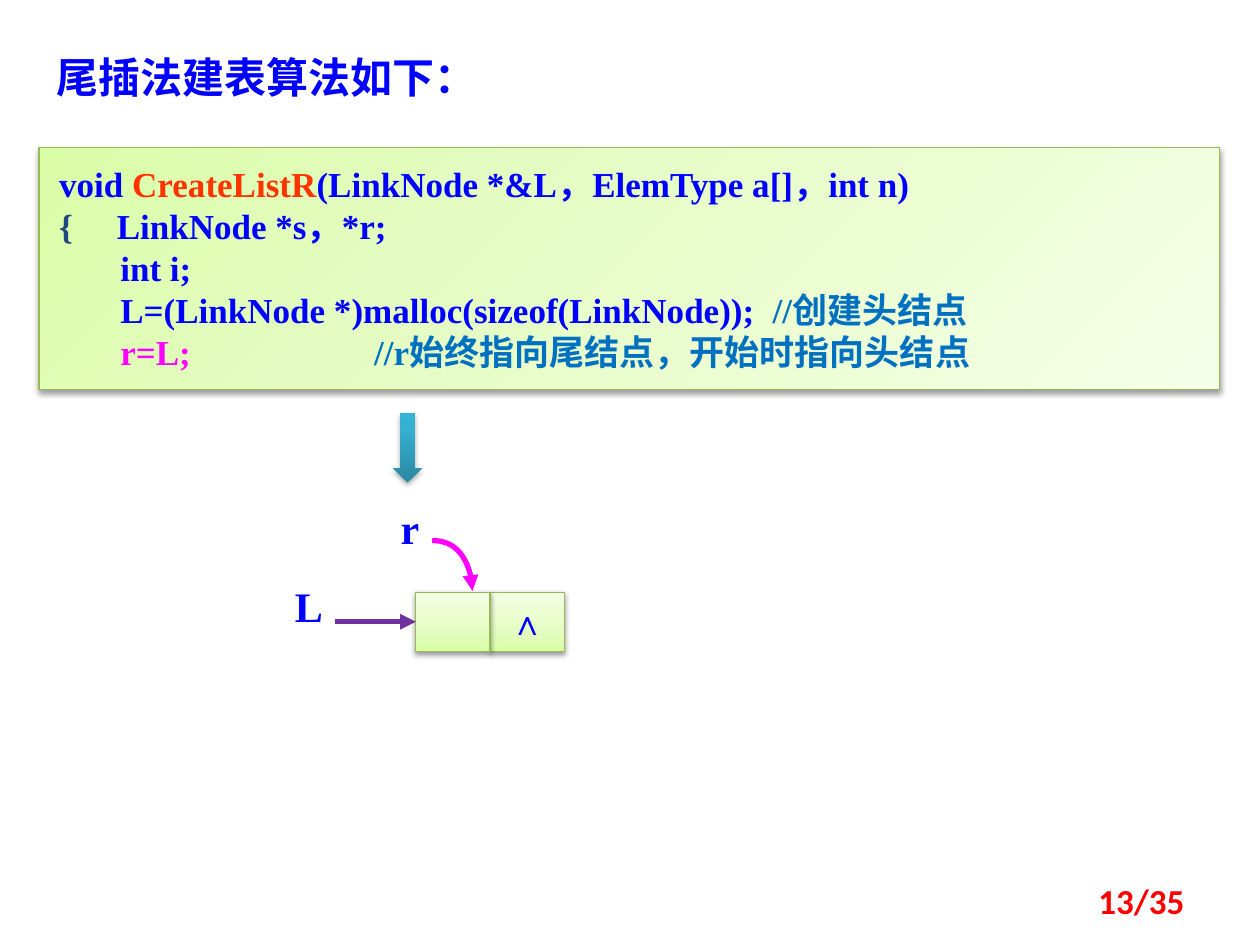
from dataclasses import dataclass

from lxml.etree import SubElement
from pptx import Presentation
from pptx.dml.color import RGBColor as Color
from pptx.enum.shapes import MSO_CONNECTOR as Connector, MSO_SHAPE as Shape
from pptx.enum.text import MSO_ANCHOR as Anchor, PP_ALIGN as Align
from pptx.oxml.ns import qn
from pptx.util import Inches, Pt


@dataclass(frozen=True)
class Theme:
    blue: str = "0000FF"
    navy: str = "1F497D"
    comment: str = "0070C0"
    orange: str = "FF3300"
    magenta: str = "FF00FF"
    purple: str = "7030A0"
    red: str = "FF0000"
    border: str = "98B955"
    green: tuple = ((0, "DAFDA7"), (35, "E4FCC2"), (100, "F5FFE7"))
    teal: tuple = ((0, "2A88A2"), (80, "37B1D2"), (100, "34B4D6"))
    serif: str = "Times New Roman"
    sans: str = "Calibri"
    chinese: str = "Noto Sans CJK SC"
    heading: int = 24
    body: int = 20


class SlideBuilder:
    def __init__(self, deck, theme):
        self.theme = theme
        self.page = deck.slides.add_slide(deck.slide_layouts[6])

    def set_text(self, frame, lines, size, font=None, align=Align.LEFT):
        for index, line in enumerate(lines):
            para = frame.paragraphs[0] if index == 0 else frame.add_paragraph()
            para.alignment = align
            para.font.size = Pt(size)
            para.font.bold = True
            para.font.name = font or self.theme.serif
            SubElement(para.font._element, qn("a:ea"),
                       typeface=self.theme.chinese)
            if len(line) == 1:
                para.font.color.rgb = Color.from_string(line[0][1])
            for text, color in line:
                span = para.add_run()
                span.text = text
                if len(line) > 1:
                    span.font.color.rgb = Color.from_string(color)

    def inset(self, frame, across, down):
        frame.margin_left = frame.margin_right = Inches(across)
        frame.margin_top = frame.margin_bottom = Inches(down)

    def label(self, text, left, top, width, height, size, color=None,
              margins=(0.1, 0.05), anchor=Anchor.TOP, **style):
        box = self.page.shapes.add_textbox(
            Inches(left), Inches(top), Inches(width), Inches(height))
        frame = box.text_frame
        frame.word_wrap = True
        frame.vertical_anchor = anchor
        self.inset(frame, *margins)
        self.set_text(frame, [[(text, color or self.theme.blue)]], size, **style)

    def block(self, kind, left, top, width, height, stops, angle,
              border=None, opacity=38):
        block = self.page.shapes.add_shape(
            kind, Inches(left), Inches(top), Inches(width), Inches(height))
        properties = block._element.spPr
        gradient = SubElement(properties, qn("a:gradFill"), rotWithShape="1")
        stop_list = SubElement(gradient, qn("a:gsLst"))
        for position, color in stops:
            stop = SubElement(stop_list, qn("a:gs"), pos=str(position * 1000))
            SubElement(stop, qn("a:srgbClr"), val=color)
        SubElement(gradient, qn("a:lin"), ang=str(angle * 60000), scaled="0")
        if border:
            block.line.color.rgb = Color.from_string(border)
            block.line.width = Pt(0.75)
        else:
            block.line.fill.background()
        block.shadow.inherit = False
        effects = properties.find(qn("a:effectLst"))
        shadow = SubElement(effects, qn("a:outerShdw"), blurRad=str(int(Pt(3.1))),
                            dist=str(int(Pt(1.6))), dir="5400000",
                            rotWithShape="0")
        shade = SubElement(shadow, qn("a:srgbClr"), val="000000")
        SubElement(shade, qn("a:alpha"), val=str(opacity * 1000))
        return block

    def panel(self, left, top, width, height, angle):
        return self.block(Shape.RECTANGLE, left, top, width, height,
                          self.theme.green, angle, self.theme.border)

    def code(self, lines, left, top, width, height):
        frame = self.panel(left, top, width, height, 45).text_frame
        frame.word_wrap = True
        frame.vertical_anchor = Anchor.TOP
        self.inset(frame, 0.16, 0.12)
        self.set_text(frame, lines, self.theme.body)

    def cell(self, left, top, width, height, text=""):
        cell = self.panel(left, top, width, height, 270)
        if text:
            cell.text_frame.word_wrap = False
            cell.text_frame.vertical_anchor = Anchor.MIDDLE
            self.set_text(cell.text_frame, [[(text, self.theme.blue)]],
                          self.theme.body, align=Align.CENTER)
        return cell

    def arrow_line(self, shape, color):
        shape.line.color.rgb = Color.from_string(color)
        shape.line.width = Pt(3)
        outline = shape._element.spPr.find(qn("a:ln"))
        SubElement(outline, qn("a:tailEnd"), type="triangle")

    def pointer(self, left, target, color):
        middle = target.top + target.height // 2
        arrow = self.page.shapes.add_connector(
            Connector.STRAIGHT, Inches(left), middle, target.left, middle)
        arrow.end_connect(target, 1)
        self.arrow_line(arrow, color)
        SubElement(arrow._element.spPr, qn("a:effectLst"))

    def curved_pointer(self, left, top, width, height, color):
        builder = self.page.shapes.build_freeform(Inches(left), Inches(top))
        end = Inches(left + width), Inches(top + height)
        builder.add_line_segments([end], close=False)
        curve = builder.convert_to_shape()
        segment = next(curve._element.iter(qn("a:lnTo")))
        outline = segment.getparent()
        outline.remove(segment)
        bezier = SubElement(outline, qn("a:cubicBezTo"))
        for across, down in ((0.56, 0), (1, 0.45), (1, 1)):
            SubElement(bezier, qn("a:pt"),
                       x=str(int(Inches(width * across))),
                       y=str(int(Inches(height * down))))
        curve.fill.background()
        self.arrow_line(curve, color)
        curve.shadow.inherit = False


def main():
    deck = Presentation()
    deck.slide_width, deck.slide_height = Inches(10), Inches(7.5)
    theme = Theme()
    slide = SlideBuilder(deck, theme)

    slide.code([
        [("void ", theme.blue), ("CreateListR", theme.orange),
         ("(LinkNode *&L，ElemType a[]，int n)", theme.blue)],
        [("{    ", theme.navy), (" LinkNode *s，*r;", theme.blue)],
        [("       int i;", theme.blue)],
        [("       L=(LinkNode *)malloc(sizeof(LinkNode));  ", theme.blue),
         ("//创建头结点", theme.comment)],
        [("       r=L;\t\t\t", theme.magenta),
         ("//r始终指向尾结点，开始时指向头结点", theme.comment)],
    ], 0.31, 1.17, 9.37, 1.92)
    slide.label("尾插法建表算法如下：", 0.35, 0.36, 5.63, 0.5,
                theme.heading, font=theme.chinese)

    cell_left, cell_top, cell_width, cell_height = 3.3, 4.7, 0.59, 0.47
    slide.cell(cell_left + cell_width, cell_top, cell_width, cell_height, "∧")
    head = slide.cell(cell_left, cell_top, cell_width, cell_height)
    slide.pointer(2.66, head, theme.purple)
    slide.curved_pointer(3.43, 4.29, 0.32, 0.4, theme.magenta)
    for name, left, top in (("L", 2.34, 4.61), ("r", 3.18, 3.99)):
        slide.label(name, left, top, 0.47, 0.4, theme.heading, margins=(0, 0))

    slide.block(Shape.DOWN_ARROW, 3.12, 3.28, 0.23, 0.55, theme.teal, 270,
                opacity=35)
    slide.label("13/35", 7.17, 6.95, 2.33, 0.4, theme.body, theme.red,
                font=theme.sans, anchor=Anchor.MIDDLE, align=Align.RIGHT)
    deck.save("out.pptx")


if __name__ == "__main__":
    main()
